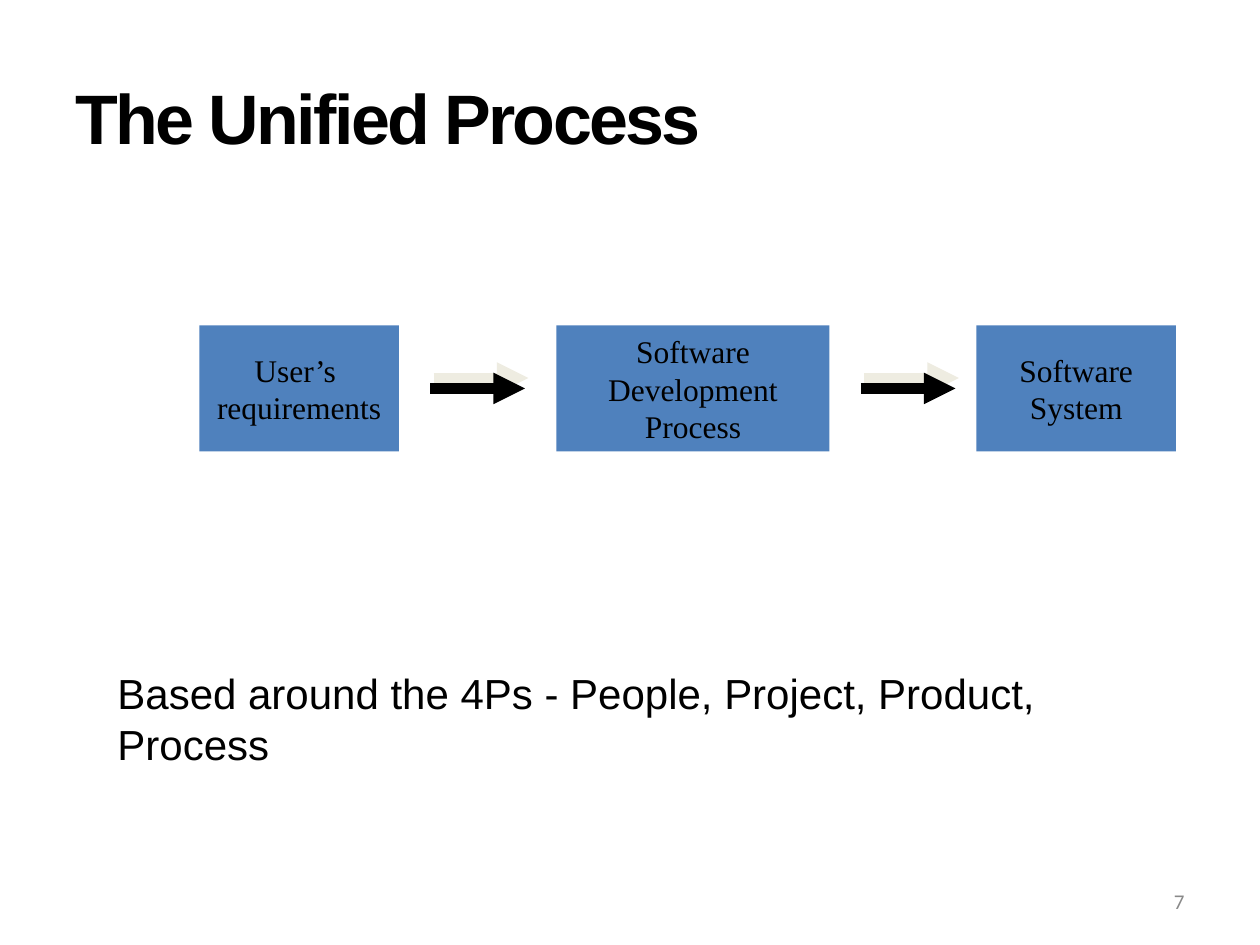
"""Build the Unified Process slide."""
from typing import NamedTuple

from pptx import Presentation
from pptx.dml.color import RGBColor
from pptx.enum import shapes, text
from pptx.oxml import parse_xml
from pptx.oxml.ns import nsdecls
from pptx.util import Pt

HUES = {"ink": "000000", "box": "4F81BD", "shade": "EEECE1", "page": "898989"}
TOP, HIGH = 186, 72
MID = TOP + HIGH / 2


class Style(NamedTuple):
    face: str
    size: float
    hue: str = "ink"
    bold: bool = False
    align: text.PP_ALIGN = text.PP_ALIGN.LEFT
    anchor: text.MSO_ANCHOR = text.MSO_ANCHOR.MIDDLE
    wrap: bool = True


class Stage(NamedTuple):
    left: float
    width: float
    words: str


HEAD = Style("Arial", 40, bold=True)
NOTE = Style("Arial", 24, anchor=text.MSO_ANCHOR.TOP)
PAGE = Style("Calibri", 12, "page", align=text.PP_ALIGN.RIGHT)
LABEL = Style("Times New Roman", 18, align=text.PP_ALIGN.CENTER, wrap=False)

STAGES = [
    Stage(114, 114, "User’s \nrequirements"),
    Stage(318, 156, "Software\nDevelopment\nProcess"),
    Stage(558, 114, "Software\nSystem"),
]
ARROWS = [246, 492]
REACH = 54


def color(name: str) -> RGBColor:
    """Return the named colour."""
    return RGBColor.from_string(HUES[name])


def write(shape, words: str, style: Style) -> None:
    """Fill a shape with styled text."""
    frame = shape.text_frame
    frame.text = words
    frame.word_wrap = style.wrap
    frame.vertical_anchor = style.anchor
    for para in frame.paragraphs:
        para.alignment = style.align
        para.font.name = style.face
        para.font.size = Pt(style.size)
        para.font.bold = style.bold
        para.font.color.rgb = color(style.hue)


def add_title(slide, words: str) -> None:
    """Place and format the title."""
    title = slide.shapes.title
    title.left, title.top = Pt(36), Pt(21.6)
    title.width, title.height = Pt(648), Pt(90)
    write(title, words, HEAD)
    for run in title.text_frame.paragraphs[0].runs:
        run._r.get_or_add_rPr().set("spc", "-150")


def add_note(slide, left: float, top: float, width: float, high: float,
             words: str, style: Style) -> None:
    """Add a text box."""
    box = slide.shapes.add_textbox(Pt(left), Pt(top), Pt(width), Pt(high))
    write(box, words, style)


def add_stage(slide, stage: Stage) -> None:
    """Add one stage of the process."""
    box = slide.shapes.add_shape(
        shapes.MSO_SHAPE.RECTANGLE,
        Pt(stage.left), Pt(TOP), Pt(stage.width), Pt(HIGH))
    box.shadow.inherit = False
    box.fill.solid()
    box.fill.fore_color.rgb = color("box")
    box.line.fill.background()
    write(box, stage.words, LABEL)


def add_arrow(slide, left: float) -> None:
    """Add a thick arrow with an offset shadow."""
    arrow = slide.shapes.add_connector(
        shapes.MSO_CONNECTOR.STRAIGHT,
        Pt(left), Pt(MID), Pt(left + REACH), Pt(MID))
    arrow.line.color.rgb = color("ink")
    arrow.line.width = Pt(6)
    space = nsdecls("a")
    arrow.line._get_or_add_ln().append(
        parse_xml(f'<a:tailEnd {space} type="triangle"/>'))
    arrow._element.spPr.append(parse_xml(
        f'<a:effectLst {space}><a:outerShdw blurRad="0" dist="{Pt(6.3)}" '
        f'dir="{288 * 60000}" algn="ctr" rotWithShape="0">'
        f'<a:srgbClr val="{HUES["shade"]}"/></a:outerShdw></a:effectLst>'))


def main() -> None:
    """Build and save the slide."""
    deck = Presentation()
    deck.slide_width, deck.slide_height = Pt(720), Pt(540)
    slide = deck.slides.add_slide(deck.slide_layouts[5])
    add_title(slide, "The Unified Process")
    for stage in STAGES:
        add_stage(slide, stage)
    for left in ARROWS:
        add_arrow(slide, left)
    add_note(slide, 60, 378, 618.5, 36,
             "Based around the 4Ps - People, Project, Product, Process", NOTE)
    add_note(slide, 516, 500.5, 168, 28.75, "7", PAGE)
    deck.save("out.pptx")


if __name__ == "__main__":
    main()
